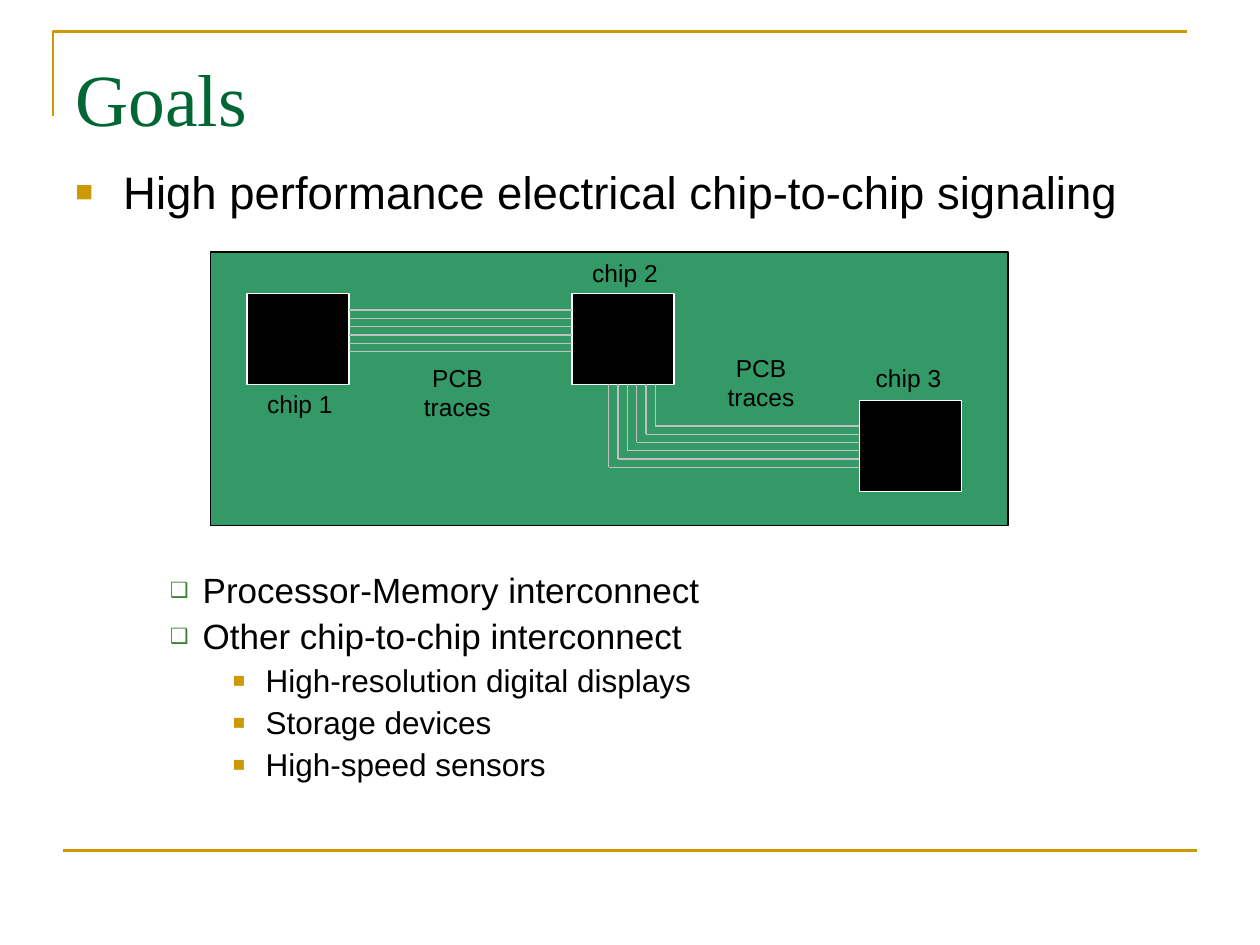
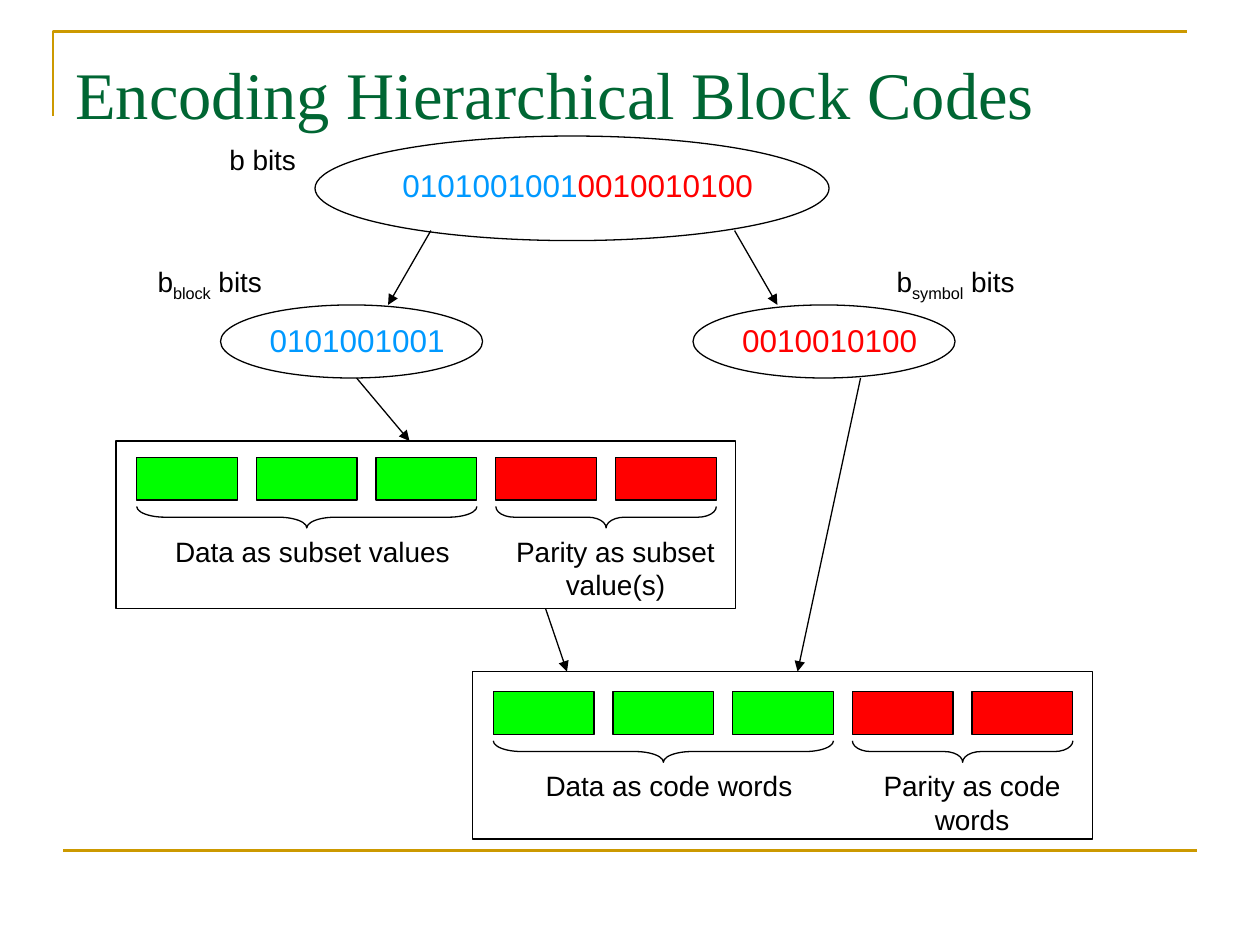
from lxml.etree import SubElement
from pptx import Presentation
from pptx.dml.color import RGBColor
from pptx.enum.shapes import MSO_CONNECTOR, MSO_SHAPE
from pptx.enum.text import MSO_ANCHOR, PP_ALIGN
from pptx.oxml.ns import qn
from pptx.util import Inches, Pt

COLORS = {
    "gold": "CC9900", "title": "006633", "bullet": "3B812F", "text": "000000",
    "board": "339966", "trace": "C0C0C0", "white": "FFFFFF",
    "data": "00FF00", "parity": "FF0000", "blue": "0099FF", "red": "FF0000",
}
# Bullet levels: left indent, hanging indent, symbol, color, percent, space before, text size
LEVELS = [
    (0.38, -0.38, "■", "gold", 65, 6.5, 26),
    (0.76, -0.26, "❑", "bullet", 60, 5, 20),
    (1.26, -0.26, "■", "gold", 65, 4.5, 18),
]


def rgb(name):
    return RGBColor.from_string(COLORS[name])


class SlideBuilder:
    def __init__(self, deck):
        self.deck = deck
        self.page = None

    def new_page(self, title, title_size):
        """Start a slide with the shared frame and title."""
        self.page = self.deck.slides.add_slide(self.deck.slide_layouts[6])
        self.outline([(0.42, 0.92), (0.42, 0.25), (9.42, 0.25)])
        self.line((0.5, 6.75), (9.5, 6.75), "gold", 1.5)
        box = self.box(0.5, 0.3, 9, 0.7)
        box.margin_top = Inches(0.12)
        self.span(box.paragraphs[0], title, title_size, "title", "Times New Roman")

    def outline(self, points):
        start, *rest = [(Inches(x), Inches(y)) for x, y in points]
        builder = self.page.shapes.build_freeform(*start)
        builder.add_line_segments(rest, close=False)
        self.paint(builder.convert_to_shape(), None, "gold", 1.5)

    def paint(self, shape, fill, line, width=0.75):
        shape.shadow.inherit = False
        if fill:
            shape.fill.solid()
            shape.fill.fore_color.rgb = rgb(fill)
        else:
            shape.fill.background()
        shape.line.color.rgb = rgb(line)
        shape.line.width = Pt(width)

    def shape(self, kind, left, top, width, height, fill=None, line="text"):
        shape = self.page.shapes.add_shape(
            kind, Inches(left), Inches(top), Inches(width), Inches(height))
        self.paint(shape, fill, line)
        return shape

    def brace(self, left, top, length, depth=0.17):
        """Draw a downward brace by turning a right brace a quarter."""
        shape = self.shape(MSO_SHAPE.RIGHT_BRACE, left + (length - depth) / 2,
                           top + (depth - length) / 2, depth, length)
        shape.rotation = 90
        shape.adjustments[0] = length / depth / 12

    def line(self, start, end, color="text", width=0.75, arrow=False):
        connector = self.page.shapes.add_connector(
            MSO_CONNECTOR.STRAIGHT, *[Inches(value) for value in start + end])
        connector.line.color.rgb = rgb(color)
        connector.line.width = Pt(width)
        if arrow:
            SubElement(connector.line._get_or_add_ln(), qn("a:tailEnd"), type="triangle")
        SubElement(connector._element.spPr, qn("a:effectLst"))

    def box(self, left, top, width, height):
        frame = self.page.shapes.add_textbox(
            Inches(left), Inches(top), Inches(width), Inches(height)).text_frame
        frame.word_wrap = True
        frame.vertical_anchor = MSO_ANCHOR.TOP
        return frame

    def span(self, para, text, size, color="text", font="Arial", baseline=0):
        span = para.add_run()
        span.text = text
        span.font.size = Pt(size)
        span.font.name = font
        span.font.color.rgb = rgb(color)
        if baseline:
            span.font._element.set("baseline", str(baseline * 1000))

    def label(self, left, top, width, height, spans, size):
        """Center a line of (text, color, baseline) spans."""
        para = self.box(left, top, width, height).paragraphs[0]
        para.alignment = PP_ALIGN.CENTER
        for text, color, baseline in spans:
            self.span(para, text, size, color, baseline=baseline)

    def plain_label(self, left, top, width, height, text, size, color="text"):
        self.label(left, top, width, height, [(text, color, 0)], size)

    def bullets(self, left, top, width, height, items, spacing=1.0):
        box = self.box(left, top, width, height)
        for index, (level, text) in enumerate(items):
            indent, hanging, symbol, color, percent, before, size = LEVELS[level]
            para = box.add_paragraph() if index else box.paragraphs[0]
            para.level = level
            props = para._p.get_or_add_pPr()
            props.set("marL", str(Inches(indent)))
            props.set("indent", str(Inches(hanging)))
            bullet_color = SubElement(props, qn("a:buClr"))
            SubElement(bullet_color, qn("a:srgbClr"), val=COLORS[color])
            SubElement(props, qn("a:buSzPct"), val=str(percent * 1000))
            SubElement(props, qn("a:buFont"), typeface="Arial")
            SubElement(props, qn("a:buChar"), char=symbol)
            para.line_spacing = spacing
            para.space_before = Pt(before if index else 0)
            self.span(para, text, size)


def build_goals(builder):
    builder.new_page("Goals", 42)
    builder.bullets(0.5, 1.25, 9, 3.5,
                    [(0, "High performance electrical chip-to-chip signaling")])
    builder.bullets(0.75, 4.5, 8.08, 1.77, [
        (1, "Processor-Memory interconnect"),
        (1, "Other chip-to-chip interconnect"),
        (2, "High-resolution digital displays"),
        (2, "Storage devices"),
        (2, "High-speed sensors"),
    ], 0.9)

    # Circuit board and chips
    builder.shape(MSO_SHAPE.RECTANGLE, 1.67, 2, 6.33, 2.17, "board")
    for left, top in [(1.96, 2.33), (6.82, 3.18), (4.54, 2.33)]:
        builder.shape(MSO_SHAPE.RECTANGLE, left, top, 0.81, 0.72, "text", "white")

    # Straight traces, then traces with a bend
    for index in range(6):
        drop = index * 0.066
        builder.line((2.77, 2.46 + drop), (4.54, 2.46 + drop), "trace")
        corner = (5.2 - index * 0.074, 3.38 + drop)
        builder.line((corner[0], 3.05), corner, "trace")
        builder.line(corner, (6.82, corner[1]), "trace")

    for left, top, height, text in [
        (1.92, 3.04, 0.34, "chip 1"), (4.5, 2, 0.34, "chip 2"),
        (6.75, 2.83, 0.34, "chip 3"), (3.17, 2.83, 0.57, "PCB traces"),
        (5.58, 2.75, 0.57, "PCB traces"),
    ]:
        builder.plain_label(left, top, 0.92, height, text, 14)


def add_block_panel(builder, left, top, cell_top, data_text, parity_text):
    first = left + 0.165
    for index, fill in enumerate(["data"] * 3 + ["parity"] * 2):
        builder.shape(MSO_SHAPE.RECTANGLE, first + index * 0.95, cell_top, 0.8, 0.34, fill)
    parity_left = first + 3 * 0.95
    builder.brace(first, cell_top + 0.39, 2.7)
    builder.brace(parity_left, cell_top + 0.39, 1.75)
    builder.plain_label(first + 0.08, cell_top + 0.56, 2.63, 0.37, data_text, 16)
    builder.plain_label(parity_left, cell_top + 0.56, 1.9, 0.64, parity_text, 16)
    builder.shape(MSO_SHAPE.RECTANGLE, left, top, 4.92, 1.33)


def build_encoding(builder):
    builder.new_page("Encoding Hierarchical Block Codes", 38)
    block_bits, symbol_bits = "0101001001", "0010010100"

    # All bits
    builder.shape(MSO_SHAPE.OVAL, 2.5, 1.08, 4.08, 0.83)
    builder.label(2.92, 1.27, 3.33, 0.4,
                  [(block_bits, "blue", 0), (symbol_bits, "red", 0)], 18)
    builder.plain_label(1.5, 1.08, 1.17, 0.37, "b bits", 16)

    # Block bits and symbol bits
    for left, bits, color, name_left, name in [
        (1.75, block_bits, "blue", 1, "block"),
        (5.5, symbol_bits, "red", 6.92, "symbol"),
    ]:
        builder.shape(MSO_SHAPE.OVAL, left, 2.42, 2.08, 0.58)
        builder.plain_label(left - 0.58, 2.5, 3.33, 0.4, bits, 18, color)
        builder.label(name_left, 2.05, 1.33, 0.41,
                      [("b", "text", 0), (name, "text", -25), (" bits", "text", 0)], 16)

    # Block panels
    add_block_panel(builder, 0.92, 3.5, 3.63,
                    "Data as subset values", "Parity as subset value(s)")
    add_block_panel(builder, 3.75, 5.33, 5.49,
                    "Data as code words", "Parity as code words")

    # Flow arrows
    for start, end in [
        ((3.42, 1.83), (3.08, 2.42)), ((5.83, 1.83), (6.17, 2.42)),
        ((2.83, 3), (3.25, 3.5)), ((4.33, 4.83), (4.5, 5.33)),
        ((6.83, 3), (6.33, 5.33)),
    ]:
        builder.line(start, end, arrow=True)


def main():
    deck = Presentation()
    deck.slide_width, deck.slide_height = Inches(10), Inches(7.5)
    builder = SlideBuilder(deck)
    build_goals(builder)
    build_encoding(builder)
    deck.save("out.pptx")


if __name__ == "__main__":
    main()
